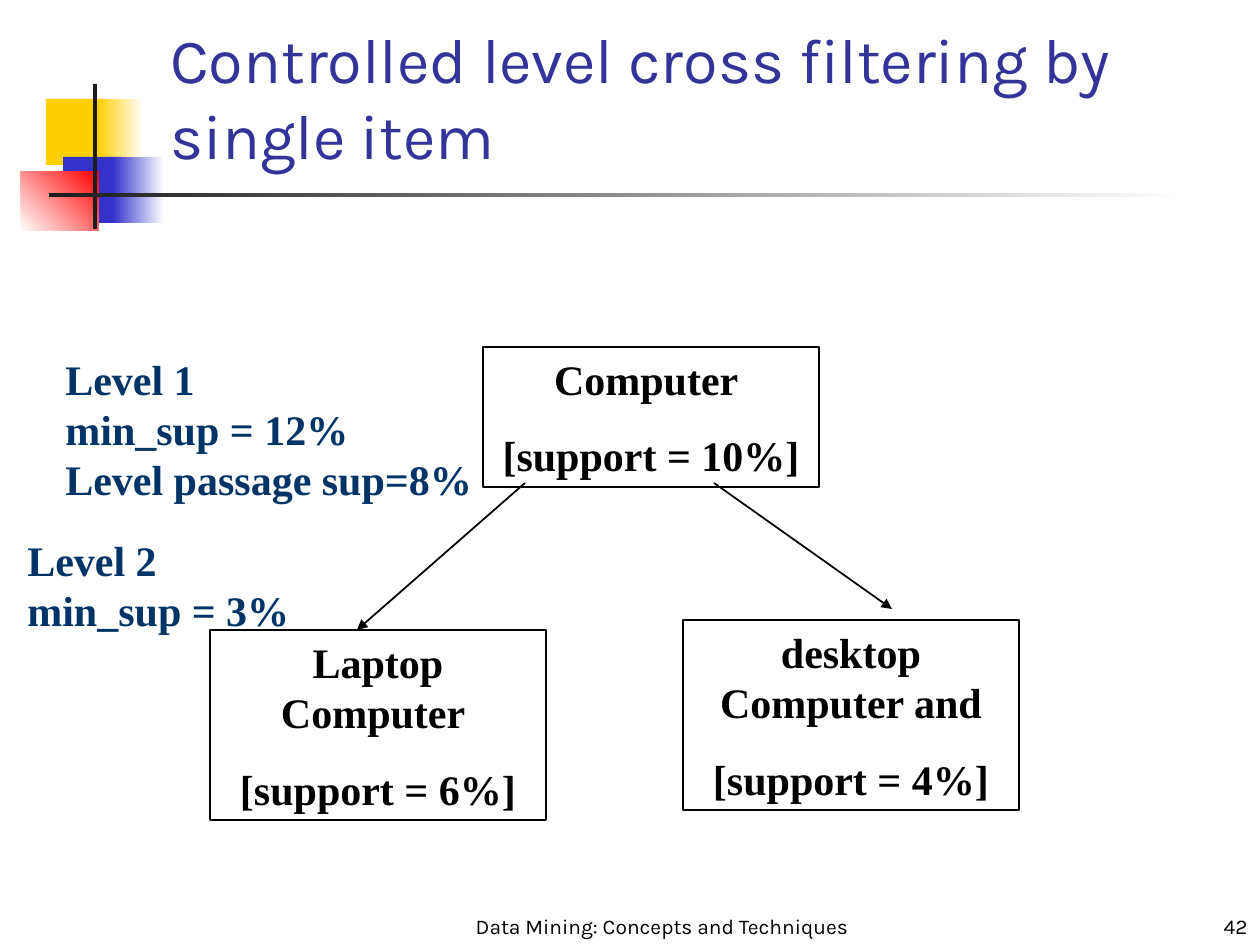
from lxml import etree
from pptx import Presentation
from pptx.dml.color import RGBColor
from pptx.enum.shapes import MSO_CONNECTOR, MSO_SHAPE
from pptx.enum.text import MSO_ANCHOR, PP_ALIGN
from pptx.oxml.ns import qn
from pptx.util import Pt

RECT, STRAIGHT = MSO_SHAPE.RECTANGLE, MSO_CONNECTOR.STRAIGHT
TOP, BOTTOM = MSO_ANCHOR.TOP, MSO_ANCHOR.BOTTOM
LEFT, CENTER, RIGHT = PP_ALIGN.LEFT, PP_ALIGN.CENTER, PP_ALIGN.RIGHT

SANS, SERIF = "Karla", "Times New Roman"
BLACK, WHITE, DARK = "000000", "FFFFFF", "1C1C1C"
YELLOW, BLUE, RED = "FFCF01", "3333CC", "FF0000"
NAVY, TITLE_BLUE = "003366", "333399"

DECORATION = [
    ((46, 99, 60, 66), [YELLOW], 0),
    ((98, 99, 45, 66), [YELLOW, WHITE], 0),
    ((63, 157, 58, 66), [BLUE], 0),
    ((113, 157, 51, 66), [BLUE, WHITE], 0),
    ((21, 172, 78, 59), [WHITE, RED], 45),
    ((93, 84, 4, 145), [DARK], 0),
    ((49, 193, 1134, 4), [DARK, WHITE], 0),
]
TITLE = "Controlled level cross filtering by single item"
FOOTERS = [
    ("Data Mining: Concepts and Techniques", (462, 892, 400, 53), CENTER),
    ("42", (998, 892, 262, 53), RIGHT),
]
NODES = [
    (["Computer ", "[support = 10%]"], (483, 347, 336, 140)),
    (["Laptop Computer ", "[support = 6%]"], (210, 630, 336, 190)),
    (["desktop Computer and", "[support = 4%]"], (683, 620, 336, 190)),
]
ARROWS = [(525, 483, 357, 630), (714, 483, 892, 609)]
LEVELS = [
    (["Level 1", "min_sup = 12%", "Level passage sup=8%"], (53, 347, 432, 164)),
    (["Level 2", "min_sup = 3%"], (15, 528, 287, 164)),
]


def px(n):
    return round(n * 914400 / 126)


def rgb(value):
    return RGBColor.from_string(value)


def add_rect(box, colors, angle=0, line=None):
    sp = s.shapes.add_shape(RECT, *map(px, box))
    sp.shadow.inherit = False
    if len(colors) == 1:
        sp.fill.solid()
        sp.fill.fore_color.rgb = rgb(colors[0])
    else:
        sp.fill.gradient()
        sp.fill.gradient_angle = angle
        for stop, color in zip(sp.fill.gradient_stops, colors):
            stop.color.rgb = rgb(color)
    if line:
        sp.line.color.rgb = rgb(line)
        sp.line.width = Pt(0.75)
    else:
        sp.line.fill.background()
    return sp


def add_text(lines, box=None, sp=None, font=SERIF, size=24, color=BLACK, bold=False,
             align=LEFT, anchor=TOP, wrap=True, gap=0, spacing=None):
    sp = sp or s.shapes.add_textbox(*map(px, box))
    tf = sp.text_frame
    tf.word_wrap = wrap
    tf.vertical_anchor = anchor
    for i, line in enumerate(lines):
        p = tf.add_paragraph() if i else tf.paragraphs[0]
        p.alignment = align
        if i and gap:
            p.space_before = Pt(gap)
        if spacing:
            p.line_spacing = Pt(spacing)
        r = p.add_run()
        r.text = line
        r.font.name = font
        r.font.size = Pt(size)
        r.font.bold = bold
        r.font.color.rgb = rgb(color)


def add_arrow(ends):
    c = s.shapes.add_connector(STRAIGHT, *map(px, ends))
    c.line.color.rgb = rgb(BLACK)
    c.line.width = Pt(1)
    etree.SubElement(c.line._get_or_add_ln(), qn("a:tailEnd"), type="triangle")
    etree.SubElement(c._element.spPr, qn("a:effectLst"))


prs = Presentation()
prs.slide_width, prs.slide_height = px(1260), px(945)
s = prs.slides.add_slide(prs.slide_layouts[6])

for box, colors, angle in DECORATION:
    add_rect(box, colors, angle)
for text, box, align in FOOTERS:
    add_text([text], box, font=SANS, size=12, align=align, anchor=BOTTOM)
add_text([TITLE], (158, 94, 1074, 84), font=SANS, size=36, color=TITLE_BLUE, anchor=BOTTOM)
for lines, box in NODES:
    add_text(lines, sp=add_rect(box, [WHITE], line=BLACK), bold=True, align=CENTER,
             gap=15, spacing=28.8)
for ends in ARROWS:
    add_arrow(ends)
for lines, box in LEVELS:
    add_text(lines, box, color=NAVY, bold=True, wrap=False, spacing=28.8)

prs.save("out.pptx")
